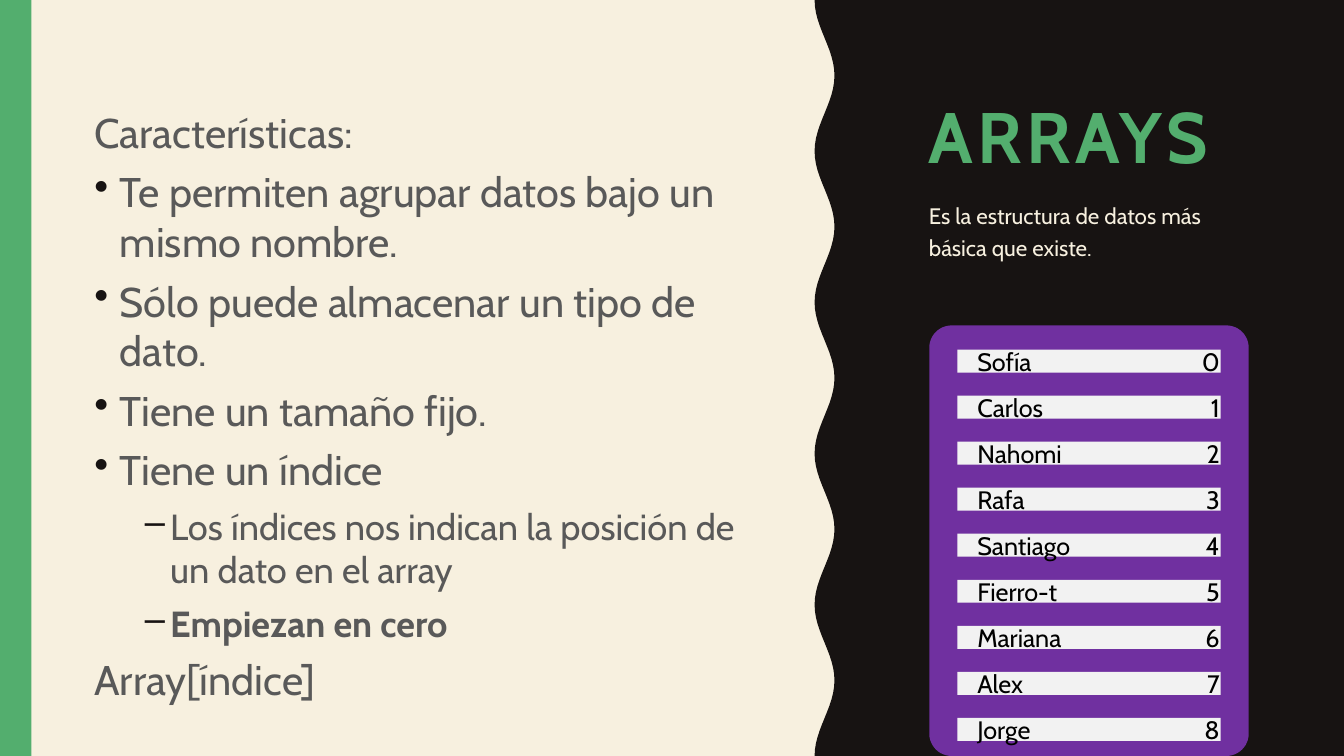
import math

import pptx
import pptx.dml.color
import pptx.enum.shapes
import pptx.enum.text
import pptx.oxml
import pptx.oxml.ns
import pptx.util
from pptx.util import Cm

FONT = "Cabin"
INK, CREAM, GREEN, GREY = "171312", "F7F0DF", "53AE6E", "595959"
PURPLE, PALE, BLACK = "7030A0", "F2F2F2", "000000"
WIDTH, HEIGHT = 33.87, 19.05
ROW_TOP, ROW_PITCH = 8.59, 1.16
NAMES = ["Sofía", "Carlos", "Nahomi", "Rafa", "Santiago", "Fierro-t", "Mariana", "Alex", "Jorge"]
FEATURES = [
    ("Características:", None, False),
    ("Te permiten agrupar datos bajo un mismo nombre.", 0, False),
    ("Sólo puede almacenar un tipo de dato.", 0, False),
    ("Tiene un tamaño fijo.", 0, False),
    ("Tiene un índice", 0, False),
    ("Los índices nos indican la posición de un dato en el array", 1, False),
    ("Empiezan en cero", 1, True),
    ("Array[índice]", None, False),
]


def paint(color_format, color):
    """Set a fill or font colour from a hex string."""
    color_format.rgb = pptx.dml.color.RGBColor.from_string(color)


def finish(shape, color):
    """Give a shape a flat fill without outline or shadow."""
    shape.fill.solid()
    paint(shape.fill.fore_color, color)
    shape.line.fill.background()
    shape.shadow.inherit = False


def add_block(page, left, top, width, height, color, radius=None):
    """Add a plain rectangle, rounded if a radius is given."""
    kinds = pptx.enum.shapes.MSO_SHAPE
    kind = kinds.RECTANGLE if radius is None else kinds.ROUNDED_RECTANGLE
    block = page.shapes.add_shape(kind, Cm(left), Cm(top), Cm(width), Cm(height))
    if radius is not None:
        block.adjustments[0] = radius
    finish(block, color)


def add_wavy_panel(page, middle, swing, waves, steps):
    """Add the dark right panel whose left edge is a cosine wave."""
    edge = []
    for step in range(waves * steps + 1):
        left = middle - swing * math.cos(2 * math.pi * step / steps)
        edge.append((Cm(left), Cm(HEIGHT * step / (waves * steps))))
    corners = [(Cm(WIDTH), Cm(HEIGHT)), (Cm(WIDTH), 0)]
    builder = page.shapes.build_freeform(*edge[0])
    builder.add_line_segments(edge[1:] + corners, close=True)
    finish(builder.convert_to_shape(), INK)


def add_box(page, left, top, width, height):
    """Add an empty wrapping text box and return its frame."""
    box = page.shapes.add_textbox(Cm(left), Cm(top), Cm(width), Cm(height))
    box.text_frame.word_wrap = True
    return box.text_frame


def add_span(para, text, size, color, bold=False):
    """Add one formatted run to a paragraph."""
    span = para.add_run()
    span.text = text
    span.font.name = FONT
    span.font.size = pptx.util.Pt(size)
    span.font.bold = bold
    paint(span.font.color, color)
    return span


def add_bullet(para, level):
    """Give a paragraph the indent and bullet of its level."""
    para.level = level
    properties = para._p.get_or_add_pPr()
    properties.set("marL", str(Cm(0.64 + 1.27 * level)))
    properties.set("indent", str(Cm(-0.64)))
    namespace = pptx.oxml.ns.nsdecls("a")
    for markup in (
        f'<a:buClr {namespace}><a:srgbClr val="{INK}"/></a:buClr>',
        f'<a:buChar {namespace} char="{"•–"[level]}"/>',
    ):
        properties.append(pptx.oxml.parse_xml(markup))


def add_features(page):
    """Add the list of array features."""
    frame = add_box(page, 2.13, 2.57, 17.09, 16.08)
    for number, (text, level, bold) in enumerate(FEATURES):
        para = frame.add_paragraph() if number else frame.paragraphs[0]
        if level is not None:
            add_bullet(para, level)
        if number:
            para.space_before = pptx.util.Pt(7)
        add_span(para, text, 25.9 if level == 1 else 29.6, GREY, bold)


def add_heading(page):
    """Add the title and its short definition."""
    frame = add_box(page, 23.16, 1.27, 8.59, 3.33)
    frame.vertical_anchor = pptx.enum.text.MSO_ANCHOR.BOTTOM
    title = add_span(frame.paragraphs[0], "ARRAYS", 51, GREEN, True)
    title._r.get_or_add_rPr().set("spc", "300")
    para = add_box(page, 23.16, 4.83, 8.59, 2.5).paragraphs[0]
    para.line_spacing = 1.2
    add_span(para, "Es la estructura de datos más básica que existe.", 16, CREAM)


def add_array(page):
    """Add the array diagram: a card with one bar per name and index."""
    add_block(page, 23.42, 8.2, 8.05, 10.85, PURPLE, 0.07)
    aligns = pptx.enum.text.PP_ALIGN
    for index, name in enumerate(NAMES):
        top = ROW_TOP + ROW_PITCH * index
        add_block(page, 24.13, top + 0.22, 6.63, 0.58, PALE)
        for left, text, align in (
            (24.38, name, aligns.LEFT),
            (27.94, str(index), aligns.RIGHT),
        ):
            para = add_box(page, left, top, 3.05, 1.02).paragraphs[0]
            para.alignment = align
            add_span(para, text, 18, BLACK)


def main():
    """Build the slide and save it."""
    deck = pptx.Presentation()
    deck.slide_width, deck.slide_height = Cm(WIDTH), Cm(HEIGHT)
    page = deck.slides.add_slide(deck.slide_layouts[6])
    page.background.fill.solid()
    paint(page.background.fill.fore_color, CREAM)
    add_wavy_panel(page, 20.78, 0.25, 5, 24)
    add_block(page, 0, 0, 0.79, HEIGHT, GREEN)
    add_heading(page)
    add_features(page)
    add_array(page)
    deck.save("out.pptx")


if __name__ == "__main__":
    main()
